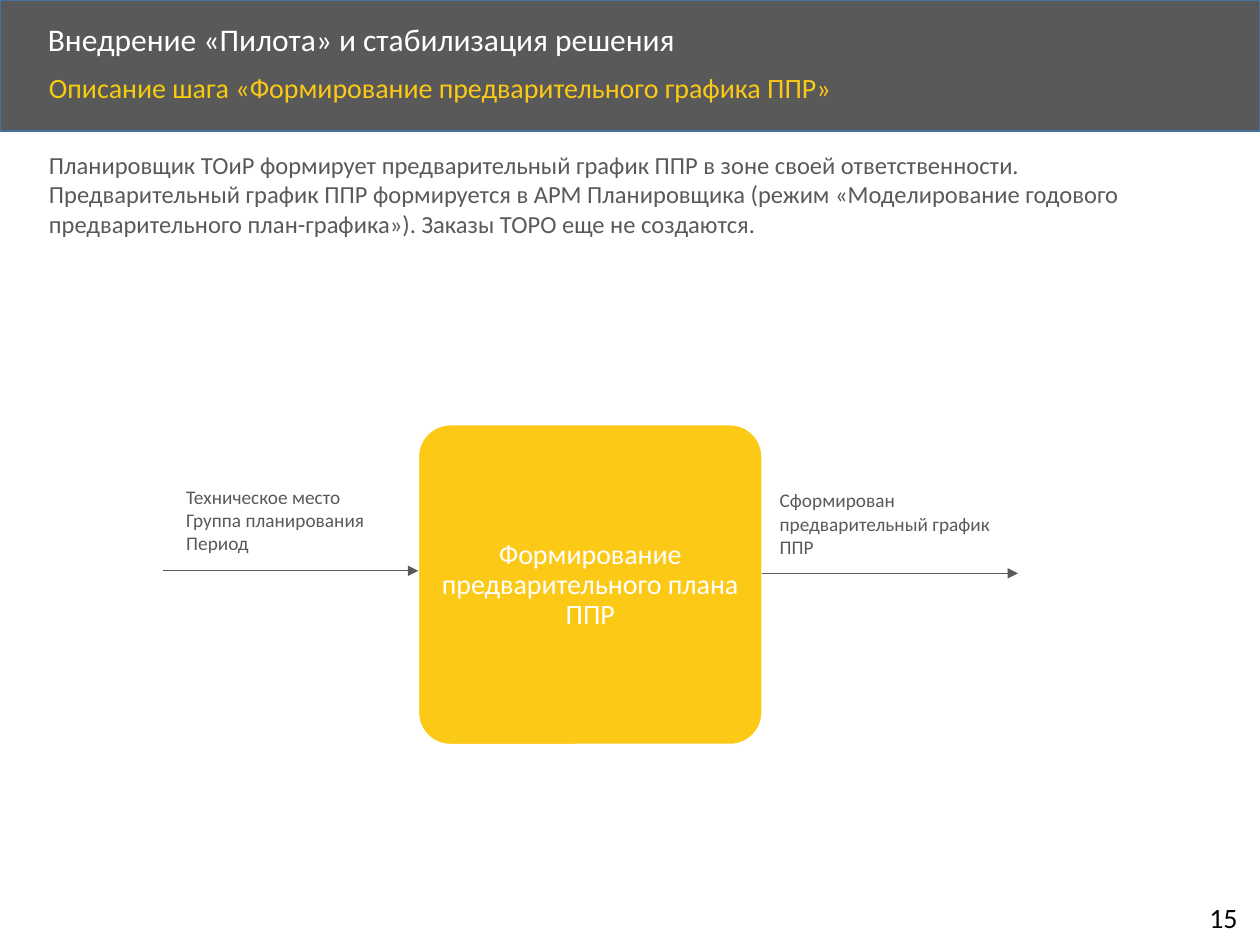
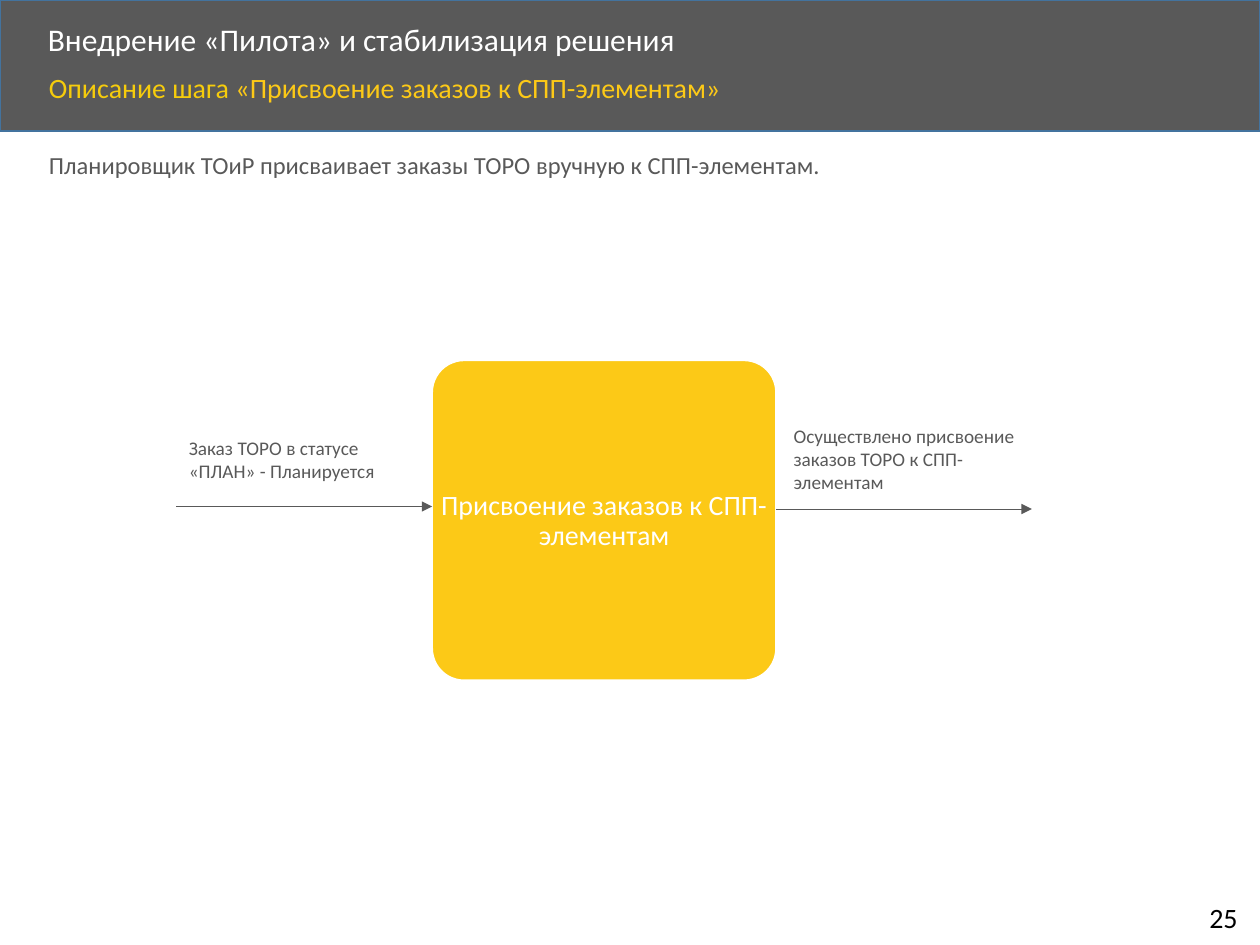
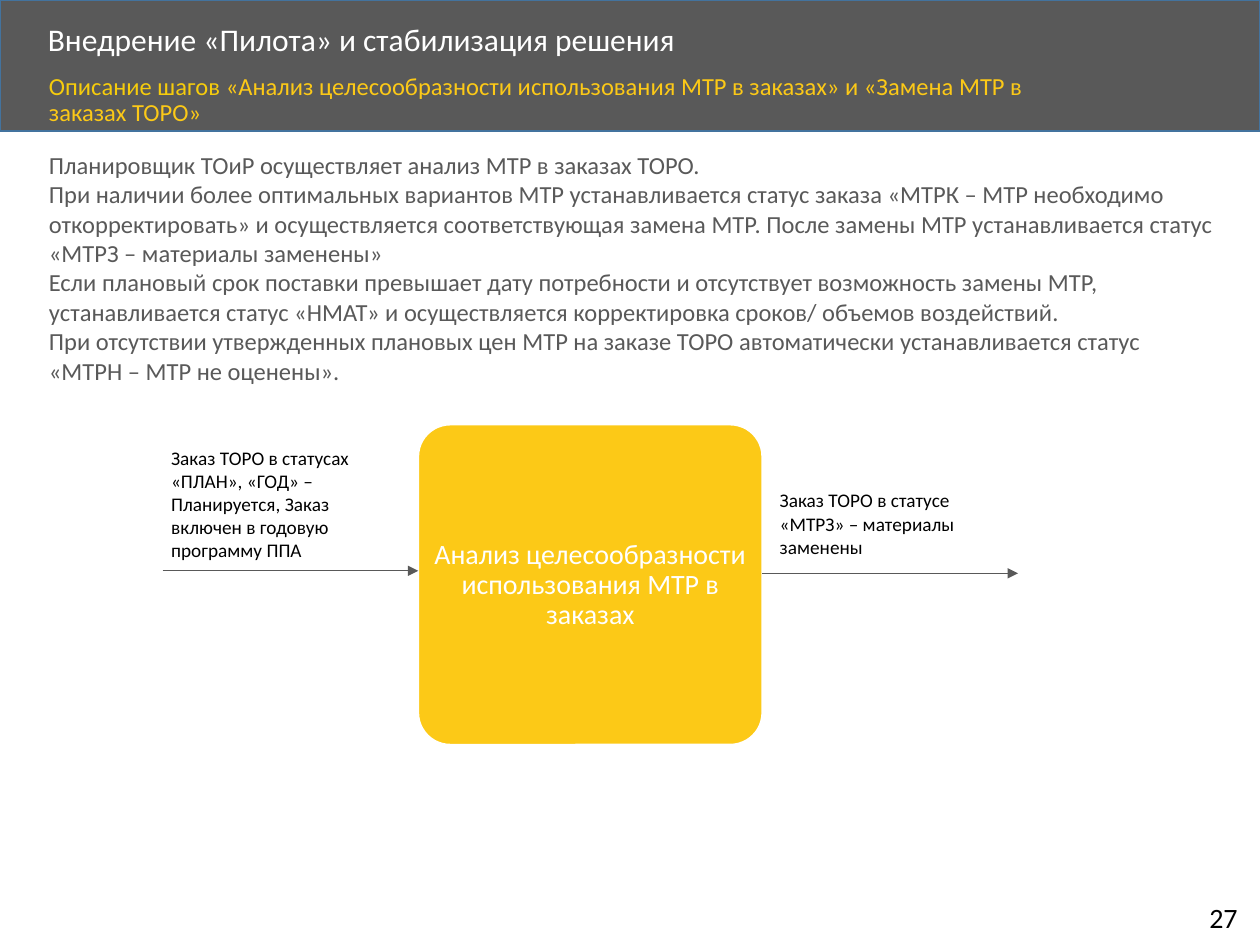
from lxml.etree import SubElement
from pptx import Presentation
from pptx.dml.color import RGBColor
from pptx.enum.shapes import MSO_CONNECTOR as Link, MSO_SHAPE as Kind
from pptx.enum.text import MSO_ANCHOR as Anchor, MSO_AUTO_SIZE as Fit, PP_ALIGN as Align
from pptx.oxml.ns import qn
from pptx.util import Pt

PX = 9144
WIDE, HIGH = 1000, 750
FACE = "Calibri"
GREY = RGBColor(0x59, 0x59, 0x59)
BLUE = RGBColor(0x43, 0x73, 0x9E)
GOLD = RGBColor(0xFC, 0xC9, 0x17)
LEMON = RGBColor(0xF6, 0xCC, 0x0C)
WHITE = RGBColor(0xFF, 0xFF, 0xFF)
BLACK = RGBColor(0x00, 0x00, 0x00)
TITLE = "Внедрение «Пилота» и стабилизация решения"

STEPS = [
    dict(
        page="15", lead="Описание шага ",
        name="«Формирование предварительного графика ППР»",
        body=["Планировщик ТОиР формирует предварительный график ППР в зоне своей ответственности. "
              "Предварительный график ППР формируется в АРМ Планировщика (режим «Моделирование "
              "годового предварительного план-графика»). Заказы ТОРО еще не создаются."],
        flow=dict(left=332, top=337, task="Формирование предварительного плана ППР",
                  source="Техническое место\nГруппа планирования\nПериод", spot=(-194, 43),
                  result="Сформирован предварительный график ППР"),
    ),
    dict(
        page="25", lead="Описание шага ",
        name="«Присвоение заказов к СПП-элементам»",
        body=["Планировщик ТОиР присваивает заказы ТОРО вручную к СПП-элементам."],
        flow=dict(left=343, top=286, task="Присвоение заказов к СПП-элементам",
                  source="Заказ ТОРО в статусе «ПЛАН» - Планируется", spot=(-203, 55),
                  result="Осуществлено присвоение заказов ТОРО к СПП-элементам"),
    ),
    dict(
        page="27", lead="Описание шагов ",
        name="«Анализ целесообразности использования МТР в заказах» и «Замена МТР в заказах ТОРО»",
        size=14, span=808,
        body=["Планировщик ТОиР осуществляет анализ МТР в заказах ТОРО.",
              "При наличии более оптимальных вариантов МТР устанавливается статус заказа «МТРК – МТР "
              "необходимо откорректировать» и осуществляется соответствующая замена МТР. После замены "
              "МТР устанавливается статус «МТРЗ – материалы заменены»",
              "Если плановый срок поставки превышает дату потребности и отсутствует возможность замены "
              "МТР, устанавливается статус «НМАТ» и осуществляется корректировка сроков/ объемов "
              "воздействий.",
              "При отсутствии утвержденных плановых цен МТР на заказе ТОРО автоматически "
              "устанавливается статус «МТРН – МТР не оценены»."],
        flow=dict(left=332, top=337, task="Анализ целесообразности использования МТР в заказах",
                  source="Заказ ТОРО в статусах «ПЛАН», «ГОД» – Планируется, Заказ включен "
                         "в годовую программу ППА", spot=(-206, 12),
                  result="Заказ ТОРО в статусе «МТРЗ» – материалы заменены", ink=BLACK),
    ),
]


def scale(*nums):
    """Turn px into EMU."""
    return [num * PX for num in nums]


def style(para, size, ink, space=None):
    """Set the font and line spacing of a paragraph."""
    para.line_spacing = space
    font = para.font
    font.name, font.size = FACE, Pt(size)
    font.color.rgb = ink


def write(slide, box, lines, size, ink, space=None, wrap=True, fit=Fit.SHAPE_TO_FIT_TEXT):
    """Add a text box with one paragraph per line and return its frame."""
    frame = slide.shapes.add_textbox(*scale(*box)).text_frame
    frame.word_wrap, frame.auto_size = wrap, fit
    for num, line in enumerate(lines):
        para = frame.add_paragraph() if num else frame.paragraphs[0]
        para.text = line
        style(para, size, ink, space)
    return frame


def block(slide, kind, box, fill, edge):
    """Add a filled shape with a thin outline."""
    shape = slide.shapes.add_shape(kind, *scale(*box))
    shape.shadow.inherit = False
    shape.fill.solid()
    shape.fill.fore_color.rgb = fill
    shape.line.color.rgb = edge
    shape.line.width = Pt(1)
    return shape


def arrow(slide, left, top, span):
    """Draw a level arrow pointing right."""
    link = slide.shapes.add_connector(Link.STRAIGHT, *scale(left, top, left + span, top))
    link.line.color.rgb = GREY
    link.line.width = Pt(0.5)
    SubElement(link.line._get_or_add_ln(), qn("a:tailEnd"), type="triangle")
    SubElement(link.element.spPr, qn("a:effectLst"))


def header(slide, lead, name, size=16, span=865):
    """Place the band, the title and the step line."""
    title = slide.shapes.title
    band = block(slide, Kind.RECTANGLE, (0, 0, WIDE, 104), GREY, BLUE)
    title.element.addprevious(band.element)
    title.left, title.top, title.width, title.height = scale(28, 14, 807, 38)
    frame = title.text_frame
    frame.text = TITLE
    frame.auto_size, frame.vertical_anchor = Fit.NONE, Anchor.MIDDLE
    para = frame.paragraphs[0]
    para.alignment = Align.LEFT
    style(para, 18, WHITE, 0.9)
    frame = write(slide, (29, 54, span, 45), [lead], size, GOLD, 0.9, fit=Fit.NONE)
    para = frame.paragraphs[0]
    para.runs[0].font.color.rgb = LEMON
    para.add_run().text = name


def chain(slide, left, top, task, source, spot, result, ink=GREY):
    """Place the task tile with its input and output arrows."""
    wide, high, span = 273, 254, 203
    tile = block(slide, Kind.ROUNDED_RECTANGLE, (left, top, wide, high), GOLD, WHITE)
    tile.adjustments[0] = 0.1
    inner = (left + 6, top + 8, wide - 12, high - 15)
    frame = write(slide, inner, [task], 16, WHITE, 0.9, fit=Fit.NONE)
    frame.vertical_anchor = Anchor.MIDDLE
    frame.margin_left = frame.margin_right = frame.margin_top = frame.margin_bottom = 0
    frame.paragraphs[0].alignment = Align.CENTER
    arrow(slide, left + wide, top + 118, span)
    write(slide, (left + 277, top + 46, 200, 66), [result], 11, ink)
    arrow(slide, left - span, top + 116, span)
    write(slide, (left + spot[0], top + spot[1], 200, 66), [source], 11, ink)


def step(deck, page, lead, name, body, flow, **head):
    """Build one step slide."""
    slide = deck.slides.add_slide(deck.slide_layouts.get_by_name("Title Only"))
    header(slide, lead, name, **head)
    write(slide, (950, 710, 46, 37), [page], 16, BLACK, wrap=False)
    chain(slide, **flow)
    write(slide, (29, 114, 946, 34), body, 14, GREY)


def main():
    """Build and save the deck."""
    deck = Presentation()
    deck.slide_width, deck.slide_height = scale(WIDE, HIGH)
    for item in STEPS:
        step(deck, **item)
    deck.save("out.pptx")


if __name__ == "__main__":
    main()
